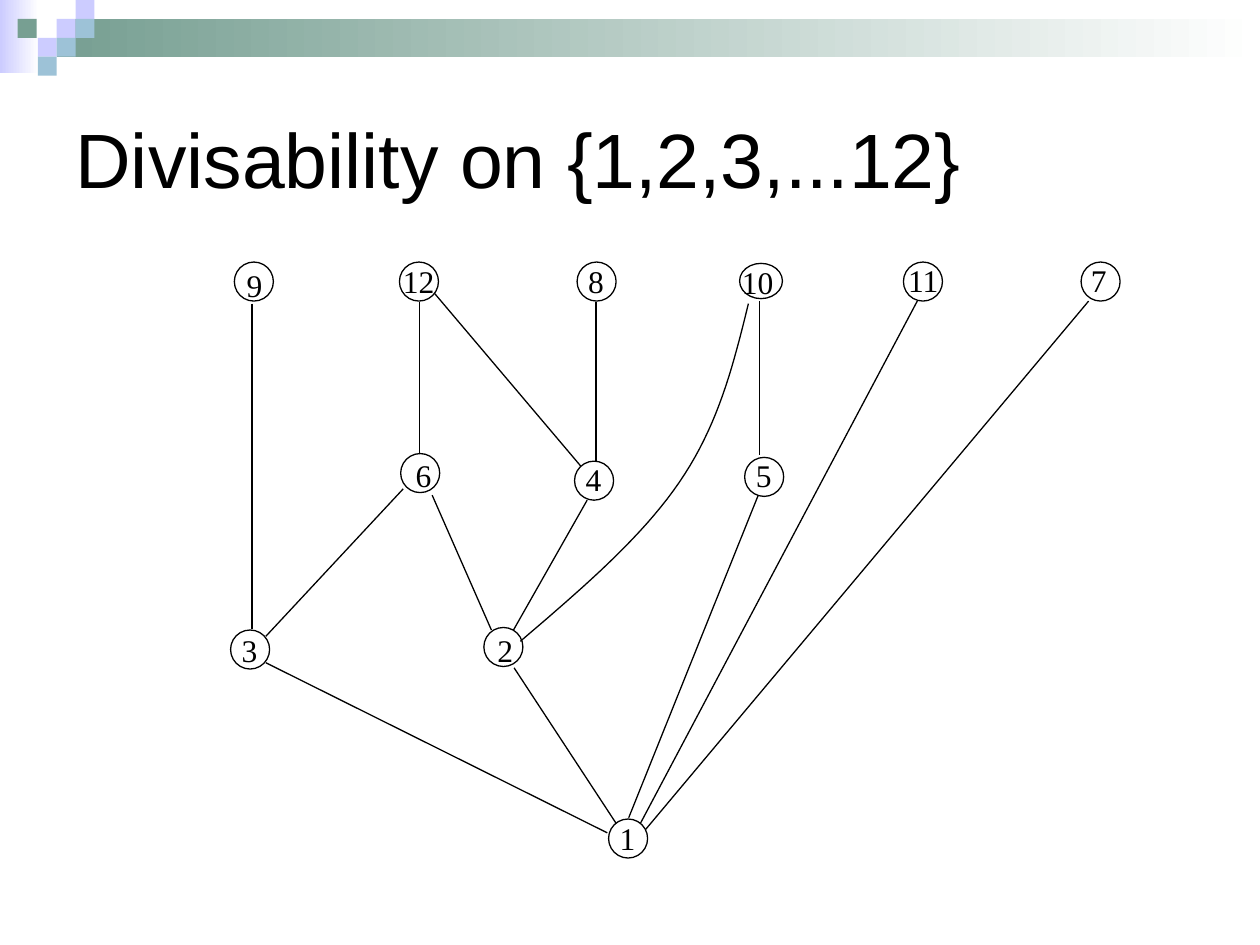
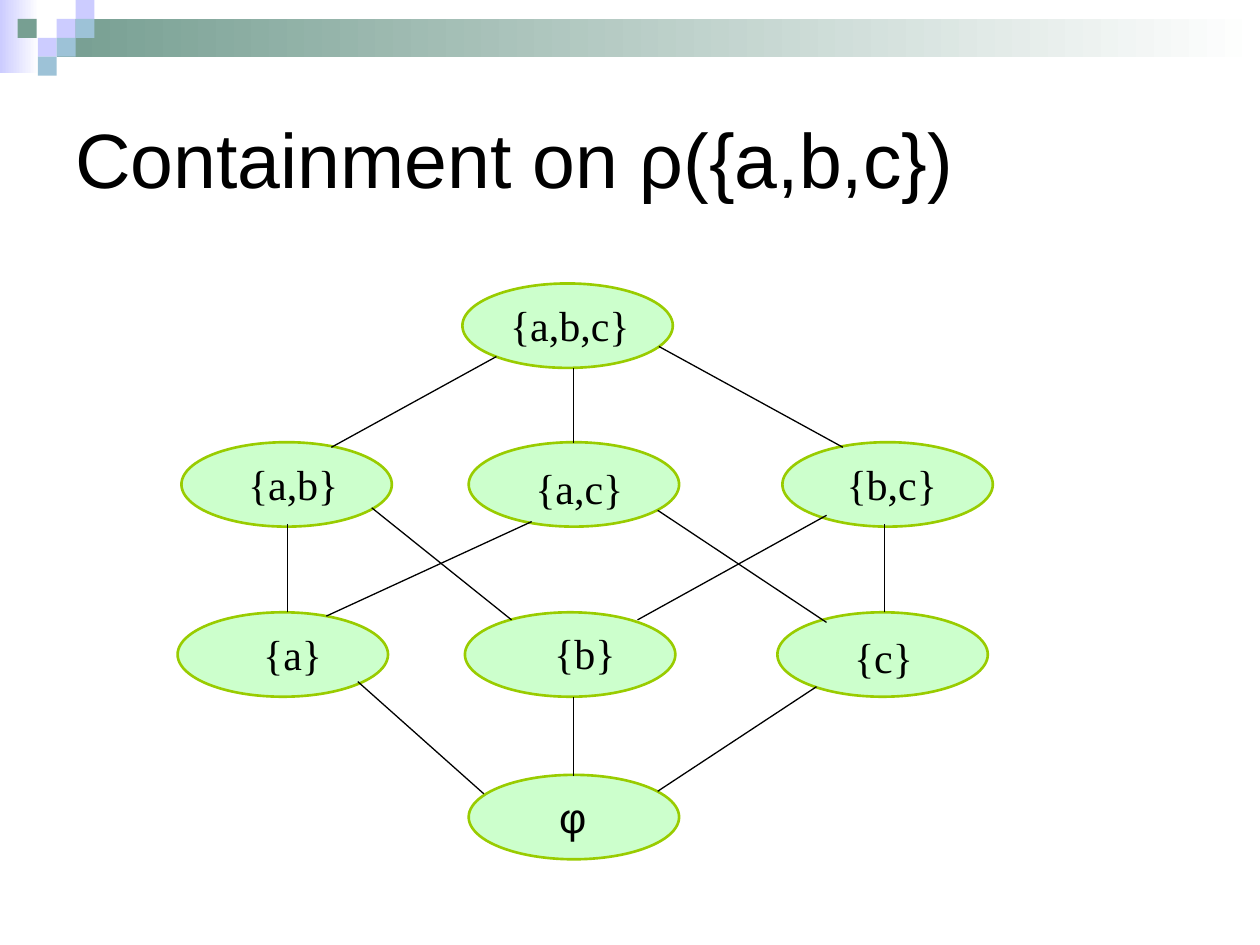
import dataclasses
import typing

import pptx
import pptx.dml.color
import pptx.enum.shapes
import pptx.enum.text
import pptx.oxml.xmlchemy
import pptx.presentation
import pptx.shapes.autoshape
import pptx.slide
import pptx.util
from pptx.util import Inches

RGBColor = pptx.dml.color.RGBColor
BLACK = RGBColor(0x00, 0x00, 0x00)
WHITE = RGBColor(0xFF, 0xFF, 0xFF)
LAVENDER = RGBColor(0xCC, 0xCC, 0xFF)
SAGE = RGBColor(0x77, 0x9F, 0x92)
SKY = RGBColor(0x9D, 0xC2, 0xD7)
MINT = RGBColor(0xCC, 0xFF, 0xCC)
LIME = RGBColor(0x99, 0xCC, 0x00)

SHAPE = pptx.enum.shapes.MSO_SHAPE
ALIGN = pptx.enum.text.PP_ALIGN
ANCHOR = pptx.enum.text.MSO_ANCHOR
Point = tuple[float, float]
EDGE_WIDTH = pptx.util.Pt(0.75)
TILE = 0.15


class Band(typing.NamedTuple):
    left: float
    top: float
    width: float
    height: float
    color: RGBColor


class Tile(typing.NamedTuple):
    left: float
    row: int
    color: RGBColor


class Edge(typing.NamedTuple):
    start: Point
    end: Point


@dataclasses.dataclass(frozen=True)
class Node:
    text: str
    position: Point
    label_position: Point
    size: typing.Optional[Point] = None
    font_name: str = "Times New Roman"
    alignment: ALIGN = ALIGN.LEFT


@dataclasses.dataclass(frozen=True)
class NodeStyle:
    size: Point
    label_size: Point
    fill: RGBColor
    line: RGBColor
    line_width: float
    font_size: int


BANDS = [
    Band(0, 0, 0.31, 0.58, LAVENDER),
    Band(0.45, 0.15, 9.55, 0.3, SAGE),
]
TILES = [
    Tile(0.45, 1, LAVENDER),
    Tile(0.6, 0, LAVENDER),
    Tile(0.6, 1, SKY),
    Tile(0.3, 2, LAVENDER),
    Tile(0.14, 1, SAGE),
    Tile(0.45, 2, SKY),
    Tile(0.3, 3, SKY),
]

NUMBER_STYLE = NodeStyle((0.31, 0.31), (0.8, 0.45), WHITE, BLACK, 0.75, 18)
SUBSET_STYLE = NodeStyle((1.67, 0.67), (1.25, 0.5), MINT, LIME, 1.5, 24)

NUMBER_NODES = [
    Node("9", (1.86, 2.08), (1.86, 2.06)),
    Node("12", (3.17, 2.08), (3.1, 2.03)),
    Node("8", (4.58, 2.08), (4.57, 2.03)),
    Node("10", (5.87, 2.09), (5.79, 2.04), size=(0.34, 0.28)),
    Node("11", (7.17, 2.08), (7.11, 2.02)),
    Node("7", (8.58, 2.08), (8.56, 2.02)),
    Node("6", (3.18, 3.6), (3.2, 3.57)),
    Node("4", (4.56, 3.66), (4.55, 3.6)),
    Node("5", (5.91, 3.63), (5.9, 3.57)),
    Node("3", (1.83, 5), (1.82, 4.96)),
    Node("2", (3.84, 4.98), (3.85, 4.96)),
    Node("1", (4.83, 6.5), (4.82, 6.45)),
]
NUMBER_EDGES = [
    Edge((2, 2.41), (2, 4.99)),
    Edge((3.33, 2.4), (3.33, 3.62)),
    Edge((3.43, 3.93), (3.9, 5)),
    Edge((2.11, 5.05), (3.2, 3.88)),
    Edge((4.07, 5.01), (4.66, 3.97)),
    Edge((4.73, 2.4), (4.73, 3.68)),
    Edge((6.03, 2.39), (6.03, 3.61)),
    Edge((2.11, 5.26), (4.82, 6.61)),
    Edge((4.08, 5.3), (4.9, 6.55)),
    Edge((6.03, 3.9), (4.99, 6.49)),
    Edge((7.28, 2.39), (5.08, 6.54)),
    Edge((8.64, 2.39), (5.11, 6.6)),
]
TWELVE_TO_FOUR = Edge((4.61, 3.7), (3.45, 2.33))
TWO_TO_TEN = [
    [(4.13, 5.09), (4.61, 4.68), (5.09, 4.27), (5.39, 3.83)],
    [(5.39, 3.83), (5.7, 3.38), (5.82, 2.9), (5.94, 2.41)],
]

SUBSET_NODES = [
    Node("{a,b,c}", (3.67, 2.25), (3.95, 2.33)),
    Node("{a,b}", (1.44, 3.51), (1.87, 3.59)),
    Node("{a,c}", (3.72, 3.51), (4.15, 3.62)),
    Node("{b,c}", (6.21, 3.51), (6.62, 3.59)),
    Node("{a}", (1.41, 4.86), (1.99, 4.94)),
    Node("{b}", (3.69, 4.86), (4.3, 4.93)),
    Node("{c}", (6.17, 4.86), (6.68, 4.96)),
    Node("φ", (3.72, 6.15), (3.92, 6.23), font_name="Arial", alignment=ALIGN.CENTER),
]
SUBSET_EDGES = [
    Edge((3.84, 6.3), (2.84, 5.41)),
    Edge((4.55, 6.16), (4.55, 5.53)),
    Edge((5.22, 6.28), (6.48, 5.45)),
    Edge((2.28, 4.86), (2.28, 4.16)),
    Edge((2.59, 4.89), (4.22, 4.14)),
    Edge((4.06, 4.92), (2.95, 4.03)),
    Edge((5.06, 4.92), (6.56, 4.09)),
    Edge((6.56, 4.94), (5.22, 4.05)),
    Edge((7.02, 4.86), (7.02, 4.16)),
    Edge((2.63, 3.55), (3.94, 2.83)),
    Edge((4.55, 3.52), (4.55, 2.92)),
    Edge((6.69, 3.55), (5.23, 2.75)),
]


def apply_format(target: typing.Any, values: dict[str, typing.Any]) -> None:
    for name, value in values.items():
        setattr(target, name, value)


def add_preset(
    slide: pptx.slide.Slide, kind: SHAPE, position: Point, size: Point
) -> pptx.shapes.autoshape.Shape:
    shape = slide.shapes.add_shape(kind, *map(Inches, position + size))
    shape.shadow.inherit = False
    return shape


def draw_band(slide: pptx.slide.Slide, band: Band) -> None:
    shape = add_preset(
        slide, SHAPE.RECTANGLE, (band.left, band.top), (band.width, band.height)
    )
    shape.line.fill.background()
    shape.fill.gradient()
    shape.fill.gradient_angle = 180
    for stop, color in zip(shape.fill.gradient_stops, (WHITE, band.color)):
        stop.color.rgb = color


def draw_tile(slide: pptx.slide.Slide, tile: Tile) -> None:
    shape = add_preset(
        slide, SHAPE.RECTANGLE, (tile.left, tile.row * TILE), (TILE, TILE)
    )
    shape.line.fill.background()
    shape.fill.solid()
    shape.fill.fore_color.rgb = tile.color


def draw_text(
    slide: pptx.slide.Slide,
    text: str,
    position: Point,
    size: Point,
    font_name: str,
    font_size: int,
    alignment: ALIGN = ALIGN.LEFT,
    anchor: ANCHOR = ANCHOR.TOP,
) -> None:
    frame = slide.shapes.add_textbox(*map(Inches, position + size)).text_frame
    apply_format(frame, {"word_wrap": True, "vertical_anchor": anchor})
    paragraph = frame.paragraphs[0]
    apply_format(paragraph, {"text": text, "alignment": alignment})
    font = paragraph.runs[0].font
    apply_format(font, {"name": font_name, "size": pptx.util.Pt(font_size)})
    font.color.rgb = BLACK


def draw_edge(slide: pptx.slide.Slide, edge: Edge) -> None:
    connector = slide.shapes.add_connector(
        pptx.enum.shapes.MSO_CONNECTOR.STRAIGHT, *map(Inches, edge.start + edge.end)
    )
    connector.line.color.rgb = BLACK
    connector.line.width = EDGE_WIDTH
    effects = pptx.oxml.xmlchemy.OxmlElement("a:effectLst")
    connector._element.spPr.append(effects)


def draw_node(slide: pptx.slide.Slide, node: Node, style: NodeStyle) -> None:
    shape = add_preset(slide, SHAPE.OVAL, node.position, node.size or style.size)
    shape.fill.solid()
    shape.fill.fore_color.rgb = style.fill
    shape.line.color.rgb = style.line
    shape.line.width = pptx.util.Pt(style.line_width)
    draw_text(
        slide,
        node.text,
        node.label_position,
        style.label_size,
        node.font_name,
        style.font_size,
        node.alignment,
    )


def bezier_point(controls: list[Point], t: float) -> Point:
    weights = ((1 - t) ** 3, 3 * t * (1 - t) ** 2, 3 * t**2 * (1 - t), t**3)
    x, y = (sum(w * c for w, c in zip(weights, axis)) for axis in zip(*controls))
    return Inches(x), Inches(y)


def draw_curve(
    slide: pptx.slide.Slide, segments: list[list[Point]], steps: int = 20
) -> None:
    start = bezier_point(segments[0], 0)
    points = [
        bezier_point(controls, step / steps)
        for controls in segments
        for step in range(1, steps + 1)
    ]
    builder = slide.shapes.build_freeform(*start)
    builder.add_line_segments(points, close=False)
    shape = builder.convert_to_shape()
    shape.shadow.inherit = False
    shape.fill.background()
    shape.line.color.rgb = BLACK
    shape.line.width = EDGE_WIDTH


def add_titled_slide(
    presentation: pptx.presentation.Presentation, title: str
) -> pptx.slide.Slide:
    slide = presentation.slides.add_slide(presentation.slide_layouts[6])
    for band in BANDS:
        draw_band(slide, band)
    for tile in TILES:
        draw_tile(slide, tile)
    draw_text(slide, title, (0.5, 0.5), (9, 1.5), "Arial", 44, anchor=ANCHOR.MIDDLE)
    return slide


def build_divisibility(presentation: pptx.presentation.Presentation) -> None:
    slide = add_titled_slide(presentation, "Divisability on {1,2,3,...12}")
    for edge in NUMBER_EDGES:
        draw_edge(slide, edge)
    for node in NUMBER_NODES:
        draw_node(slide, node, NUMBER_STYLE)
    draw_edge(slide, TWELVE_TO_FOUR)
    draw_curve(slide, TWO_TO_TEN)


def build_containment(presentation: pptx.presentation.Presentation) -> None:
    slide = add_titled_slide(presentation, "Containment on ρ({a,b,c})")
    for node in SUBSET_NODES:
        draw_node(slide, node, SUBSET_STYLE)
    for edge in SUBSET_EDGES:
        draw_edge(slide, edge)


def main() -> None:
    presentation = pptx.Presentation()
    size = {"slide_width": Inches(10), "slide_height": Inches(7.5)}
    apply_format(presentation, size)
    build_divisibility(presentation)
    build_containment(presentation)
    presentation.save("out.pptx")


if __name__ == "__main__":
    main()
